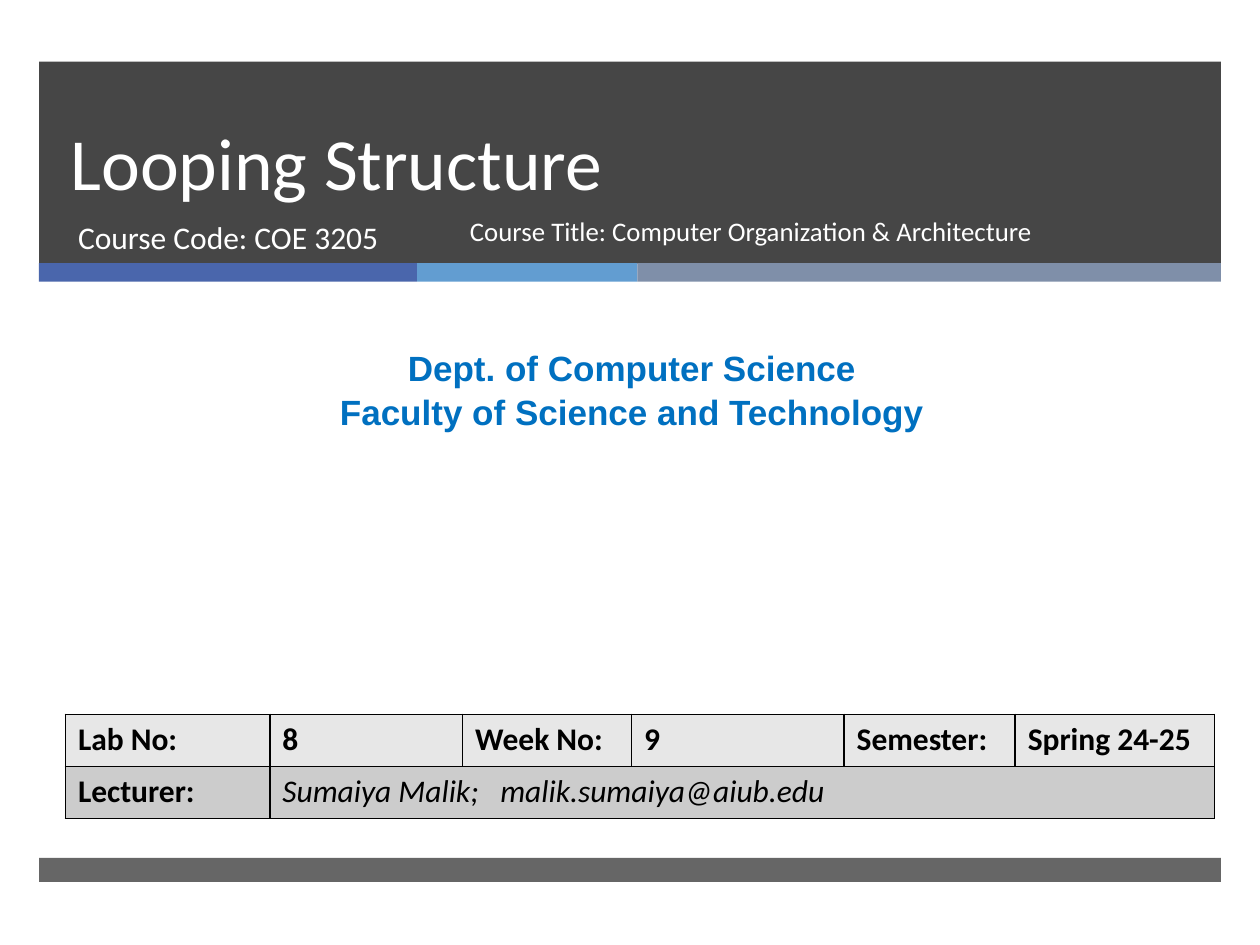
"""Build the title slide of a lab lecture on looping structures."""
from dataclasses import dataclass
from typing import Optional

from lxml import etree
from pptx import Presentation
from pptx import util as u
from pptx.dml.color import RGBColor
from pptx.enum import shapes, text
from pptx.oxml import ns

HUES = {"dark": "262626", "blue": "4A66AC", "sky": "629DD1", "slate": "7F8FA9",
        "white": "FFFFFF", "dept": "0070C0", "black": "000000",
        "light": "E7E7E7", "grey": "CCCCCC"}
LEFT, WIDE = 22.3, 675.4


@dataclass
class Bar:
    x: float
    y: float
    w: float
    h: float
    hue: str
    alpha: Optional[int] = None


@dataclass
class Font:
    size: float
    hue: str
    name: str = "Calibri"
    bold: bool = False
    slant: bool = False


BARS = [
    Bar(LEFT, 35.2, WIDE, 115.4, "dark", 85),
    Bar(LEFT, 150.4, 216, 10.6, "blue"),
    Bar(LEFT + 216, 150.4, 126, 10.6, "sky"),
    Bar(LEFT + 342, 150.4, WIDE - 342, 10.6, "slate"),
    Bar(LEFT, 490.3, WIDE, 13.6, "dark", 70),
]
COLS = [116.8, 110.2, 96.6, 121.4, 97.8, 113.8]
HEADS = ["Lab No:", "8", "Week No:", "9", "Semester:", "Spring 24-25"]
STAFF = ["Lecturer:", "Sumaiya Malik;\tmalik.sumaiya@aiub.edu"]


def tint(hue: str) -> RGBColor:
    return RGBColor.from_string(HUES[hue])


def sub(node, tag: str, **attrs: str):
    return etree.SubElement(node, ns.qn(tag), attrs)


def place(item, x: float, y: float, w: float, h: float) -> None:
    item.left, item.top, item.width, item.height = map(u.Pt, (x, y, w, h))


def draw_bar(slide, bar: Bar) -> None:
    shape = slide.shapes.add_shape(shapes.MSO_SHAPE.RECTANGLE, 0, 0, 0, 0)
    place(shape, bar.x, bar.y, bar.w, bar.h)
    shape.shadow.inherit = False
    shape.line.fill.background()
    shape.fill.solid()
    shape.fill.fore_color.rgb = tint(bar.hue)
    if bar.alpha:
        clr = shape._element.spPr.find(".//" + ns.qn("a:srgbClr"))
        sub(clr, "a:alpha", val=str(bar.alpha * 1000))


def add_run(para, words: str, font: Font) -> None:
    run = para.add_run()
    run.text = words
    face = run.font
    face.size, face.name = u.Pt(font.size), font.name
    face.bold, face.italic = font.bold, font.slant
    face.color.rgb = tint(font.hue)


def write(frame, lines: list[str], font: Font, gap=1.0,
          align=text.PP_ALIGN.LEFT, anchor=text.MSO_ANCHOR.TOP) -> None:
    frame.word_wrap = True
    frame.auto_size = text.MSO_AUTO_SIZE.NONE
    frame.vertical_anchor = anchor
    for i, words in enumerate(lines):
        para = frame.add_paragraph() if i else frame.paragraphs[0]
        para.alignment, para.line_spacing = align, gap
        para.space_before = u.Pt(0)
        add_run(para, words, font)


def edge(cell) -> None:
    props = cell._tc.get_or_add_tcPr()
    for i, side in enumerate(("a:lnL", "a:lnR", "a:lnT", "a:lnB")):
        line = etree.Element(ns.qn(side), {"w": str(u.Pt(1))})
        sub(sub(line, "a:solidFill"), "a:srgbClr", val=HUES["black"])
        props.insert(i, line)


def draw_table(slide) -> None:
    grid = slide.shapes.add_table(2, len(COLS), u.Pt(37.4), u.Pt(408.2),
                                  u.Pt(sum(COLS)), u.Pt(59.6)).table
    for col, width in zip(grid.columns, COLS):
        col.width = u.Pt(width)
    grid.cell(1, 1).merge(grid.cell(1, len(COLS) - 1))
    for r, (row, hue) in enumerate(((HEADS, "light"), (STAFF, "grey"))):
        for c in range(len(COLS)):
            cell = grid.cell(r, c)
            cell.fill.solid()
            cell.fill.fore_color.rgb = tint(hue)
            edge(cell)
            if c < len(row):
                para = cell.text_frame.paragraphs[0]
                slant = "\t" in row[c]
                if slant:
                    tabs = sub(para._p.get_or_add_pPr(), "a:tabLst")
                    sub(tabs, "a:tab", pos=str(u.Pt(124.5)), algn="l")
                add_run(para, row[c], Font(18, "black", bold=not slant, slant=slant))


def main() -> None:
    deck = Presentation()
    deck.slide_width, deck.slide_height = u.Pt(720), u.Pt(540)
    slide = deck.slides.add_slide(deck.slide_layouts[0])
    for bar in BARS:
        draw_bar(slide, bar)

    title, code = slide.placeholders
    for holder in (title, code):
        slide.shapes._spTree.append(holder._element)
    place(title, 33.1, 35.3, 614.9, 85.7)
    write(title.text_frame, ["Looping Structure"], Font(42, "white"),
          u.Pt(46), anchor=text.MSO_ANCHOR.BOTTOM)
    place(code, 37.4, 121, 219.6, 38.2)
    write(code.text_frame, ["Course Code: COE 3205"], Font(18, "white"))

    dept = slide.shapes.add_textbox(0, 0, 0, 0)
    place(dept, 5.8, 193, 710.6, 55.4)
    write(dept.text_frame,
          ["Dept. of Computer Science", "Faculty of Science and Technology"],
          Font(20, "dept", "Arial", True), 1.05, text.PP_ALIGN.CENTER)
    draw_table(slide)
    course = slide.shapes.add_textbox(0, 0, 0, 0)
    place(course, 261.4, 121, 337.7, 38.2)
    write(course.text_frame, ["Course Title: Computer Organization & Architecture"],
          Font(15.3, "white"), 0.9)
    deck.save("out.pptx")


if __name__ == "__main__":
    main()
